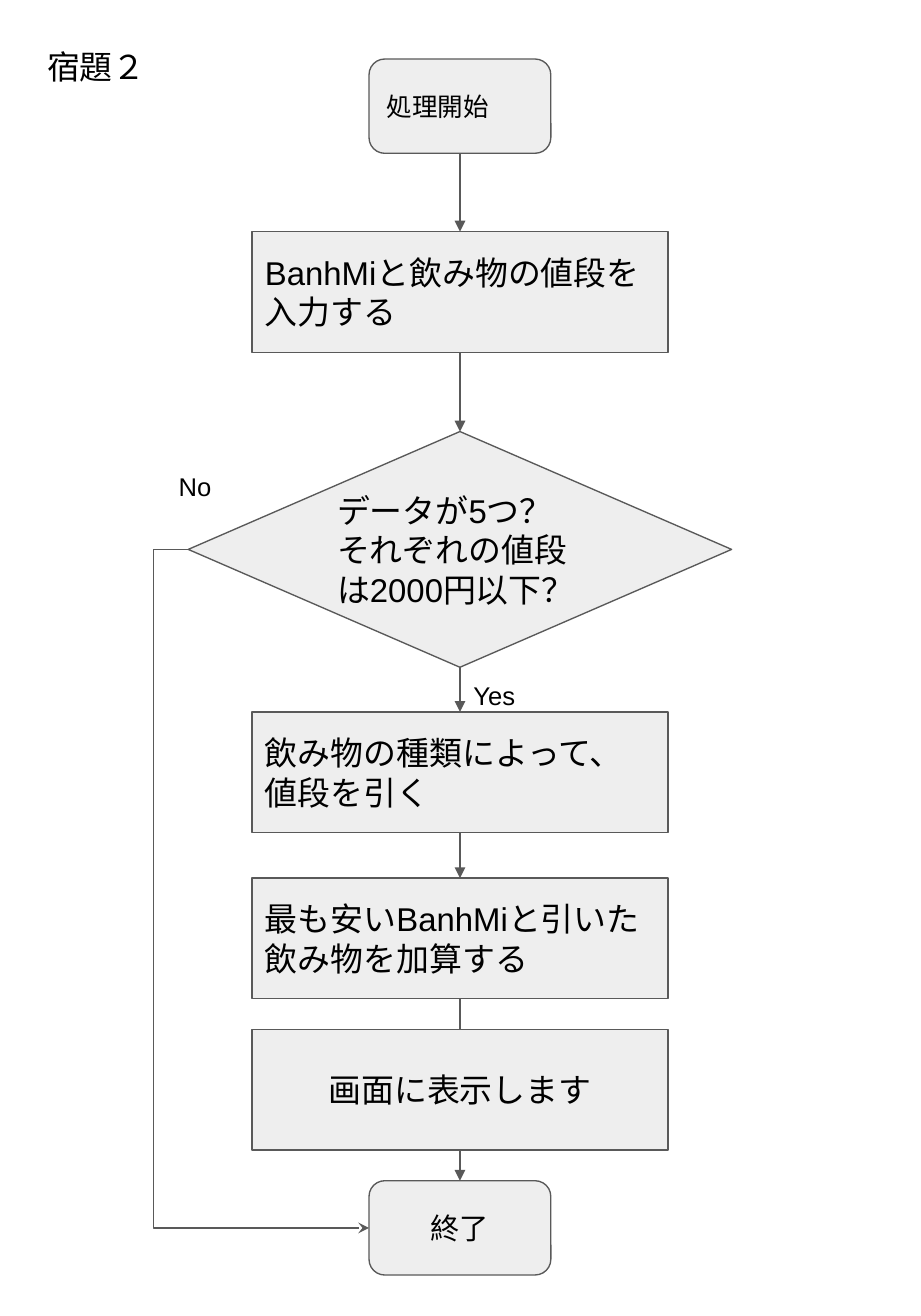
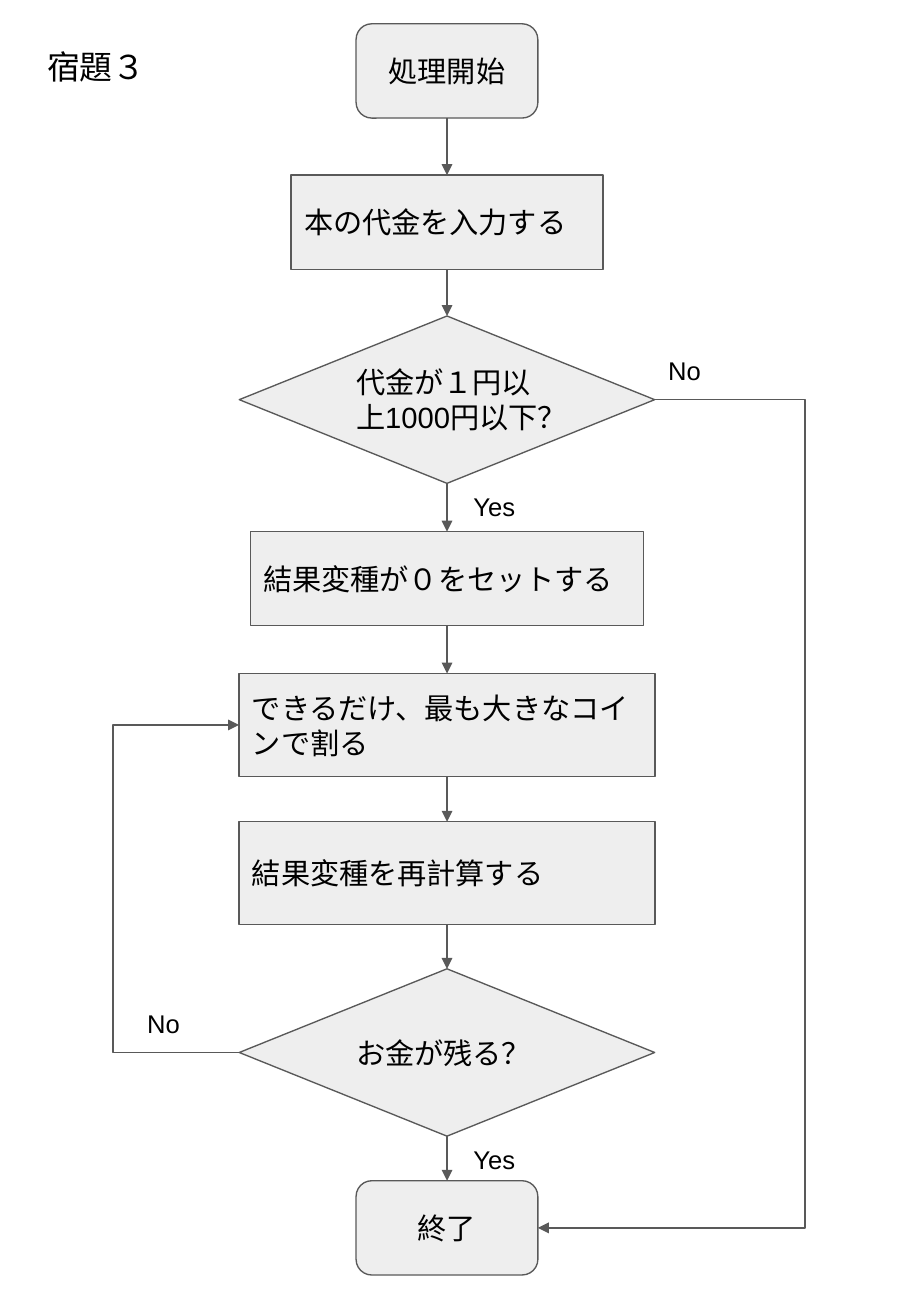
"""Build two flowchart slides for homework exercises 2 and 3."""
import lxml.etree
import pptx
import pptx.dml.color
import pptx.enum.shapes
import pptx.enum.text
import pptx.oxml.ns
import pptx.util

Cm = pptx.util.Cm
Pt = pptx.util.Pt
qn = pptx.oxml.ns.qn
RECTANGLE = pptx.enum.shapes.MSO_SHAPE.RECTANGLE
ROUNDED = pptx.enum.shapes.MSO_SHAPE.ROUNDED_RECTANGLE
DIAMOND = pptx.enum.shapes.MSO_SHAPE.DIAMOND
STRAIGHT = pptx.enum.shapes.MSO_CONNECTOR.STRAIGHT
ELBOW = pptx.enum.shapes.MSO_CONNECTOR.ELBOW
LEFT = pptx.enum.text.PP_ALIGN.LEFT
CENTER = pptx.enum.text.PP_ALIGN.CENTER


class Theme:
    fill = pptx.dml.color.RGBColor(0xEE, 0xEE, 0xEE)
    line = pptx.dml.color.RGBColor(0x59, 0x59, 0x59)
    text = pptx.dml.color.RGBColor(0, 0, 0)
    font = "Arial"
    line_width = Pt(0.75)
    inset = Cm(0.25)
    title = 18
    label = 14


def write_text(shape, text, size, alignment=LEFT):
    frame = shape.text_frame
    frame.word_wrap = True
    frame.margin_left = frame.margin_right = Theme.inset
    frame.margin_top = frame.margin_bottom = Theme.inset
    frame.text = text
    for paragraph in frame.paragraphs:
        paragraph.alignment = alignment
        for run in paragraph.runs:
            run.font.name = Theme.font
            run.font.size = Pt(size)
            run.font.color.rgb = Theme.text


def style_connector(connector, arrowhead):
    connector.line.color.rgb = Theme.line
    connector.line.width = Theme.line_width
    properties = connector.line._get_or_add_ln()
    lxml.etree.SubElement(properties, qn("a:tailEnd"), type=arrowhead)
    lxml.etree.SubElement(connector._element.spPr, qn("a:effectLst"))


charts = [
    {
        "title": "宿題２",
        "center": 8.88,
        "steps": [
            (ROUNDED, 1.14, 3.51, 1.82, "処理開始", 14, LEFT),
            (RECTANGLE, 4.47, 8.03, 2.33, "BanhMiと飲み物の値段を入力する", 18, LEFT),
            (DIAMOND, 8.33, 10.49, 4.55, "データが5つ？\nそれぞれの値段は2000円以下？", 18, LEFT),
            (RECTANGLE, 13.74, 8.03, 2.33, "飲み物の種類によって、値段を引く", 18, LEFT),
            (RECTANGLE, 16.95, 8.03, 2.33, "最も安いBanhMiと引いた飲み物を加算する", 18, LEFT),
            (RECTANGLE, 19.87, 8.03, 2.33, "画面に表示します", 18, CENTER),
            (ROUNDED, 22.79, 3.51, 1.82, "終了", 16, CENTER),
        ],
        "unmarked": [4],
        "branches": [(2, 6, "left", 2.97, "stealth")],
        "labels": [("Yes", 8.89, 12.88), ("No", 3.2, 8.84)],
    },
    {
        "title": "宿題３",
        "center": 8.63,
        "steps": [
            (ROUNDED, 0.46, 3.51, 1.82, "処理開始", 16, CENTER),
            (RECTANGLE, 3.38, 6.02, 1.82, "本の代金を入力する", 16, LEFT),
            (DIAMOND, 6.1, 8.02, 3.23, "代金が１円以上1000円以下？", 16, LEFT),
            (RECTANGLE, 10.26, 7.59, 1.82, "結果変種が０をセットする", 16, LEFT),
            (RECTANGLE, 13, 8.03, 1.99, "できるだけ、最も大きなコインで割る", 16, LEFT),
            (RECTANGLE, 15.86, 8.03, 1.99, "結果変種を再計算する", 16, LEFT),
            (DIAMOND, 18.7, 8.02, 3.23, "お金が残る？", 16, LEFT),
            (ROUNDED, 22.79, 3.51, 1.82, "終了", 16, CENTER),
        ],
        "unmarked": [],
        "branches": [
            (6, 4, "left", 2.18, "triangle"),
            (2, 7, "right", 15.54, "triangle"),
        ],
        "labels": [
            ("Yes", 8.89, 21.82),
            ("Yes", 8.89, 9.22),
            ("No", 12.65, 6.6),
            ("No", 2.59, 19.2),
        ],
    },
]

presentation = pptx.Presentation()
presentation.slide_width = Cm(17.78)
presentation.slide_height = Cm(25.4)

for chart in charts:
    slide = presentation.slides.add_slide(presentation.slide_layouts[6])

    steps = []
    for kind, top, width, height, text, size, alignment in chart["steps"]:
        left = chart["center"] - width / 2
        shape = slide.shapes.add_shape(kind, Cm(left), Cm(top), Cm(width), Cm(height))
        shape.shadow.inherit = False
        shape.fill.solid()
        shape.fill.fore_color.rgb = Theme.fill
        shape.line.color.rgb = Theme.line
        shape.line.width = Theme.line_width
        shape.text_frame.vertical_anchor = pptx.enum.text.MSO_ANCHOR.MIDDLE
        write_text(shape, text, size, alignment)
        steps.append(shape)

    for index, (upper, lower) in enumerate(zip(steps, steps[1:])):
        connector = slide.shapes.add_connector(STRAIGHT, 0, 0, 0, 0)
        connector.begin_connect(upper, 2)
        connector.end_connect(lower, 0)
        style_connector(connector, "none" if index in chart["unmarked"] else "triangle")

    for source, target, side, lane, arrowhead in chart["branches"]:
        ends = []
        for shape in (steps[source], steps[target]):
            x = shape.left + (shape.width if side == "right" else 0)
            ends.append((x, shape.top + shape.height // 2))
        (begin_x, begin_y), (end_x, end_y) = ends
        connector = slide.shapes.add_connector(ELBOW, begin_x, begin_y, end_x, end_y)
        bend = round((Cm(lane) - begin_x) / (end_x - begin_x) * 100000)
        adjustments = connector._element.spPr.find(".//" + qn("a:avLst"))
        lxml.etree.SubElement(adjustments, qn("a:gd"), name="adj1", fmla=f"val {bend}")
        style_connector(connector, arrowhead)

    captions = [(text, left, top, 1.6, 1.12, Theme.label) for text, left, top in chart["labels"]]
    captions.append((chart["title"], 0.66, 0.66, 2.74, 1.27, Theme.title))
    for text, left, top, width, height, size in captions:
        box = slide.shapes.add_textbox(Cm(left), Cm(top), Cm(width), Cm(height))
        write_text(box, text, size)
        box.text_frame.auto_size = pptx.enum.text.MSO_AUTO_SIZE.SHAPE_TO_FIT_TEXT

presentation.save("out.pptx")
